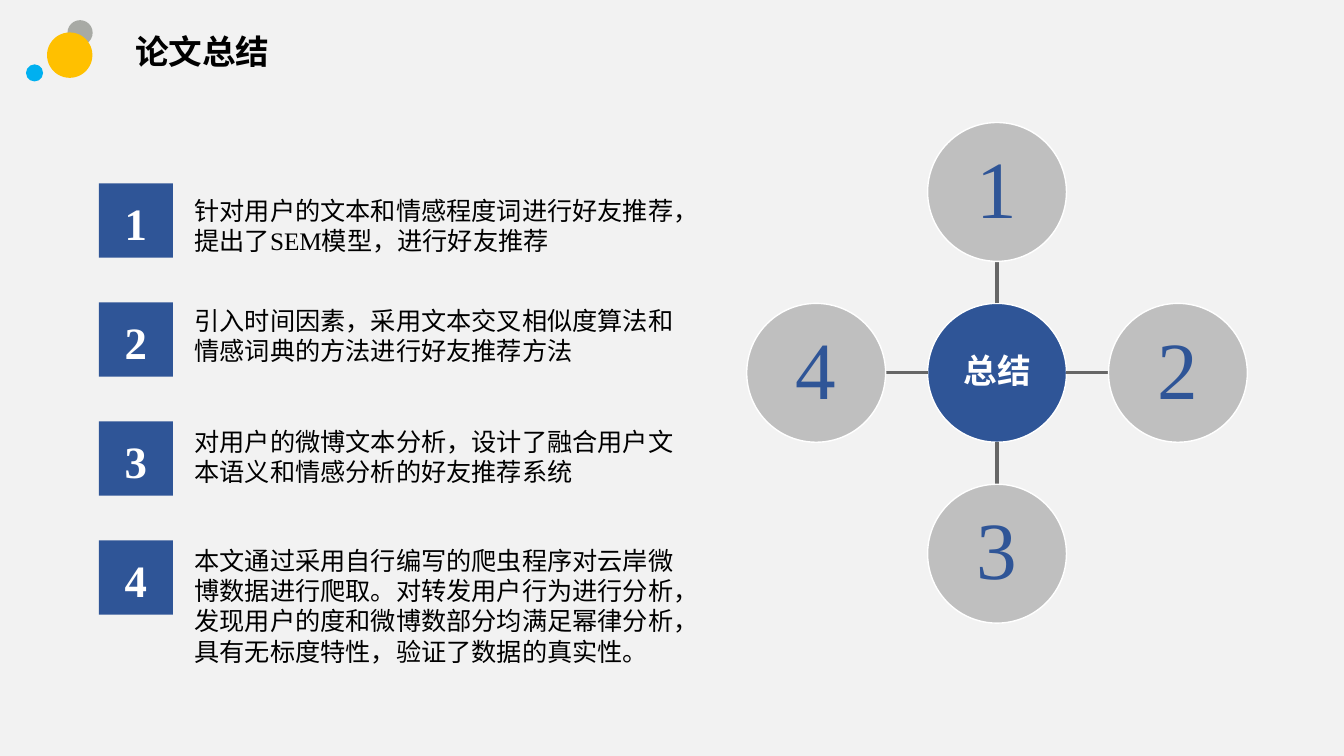
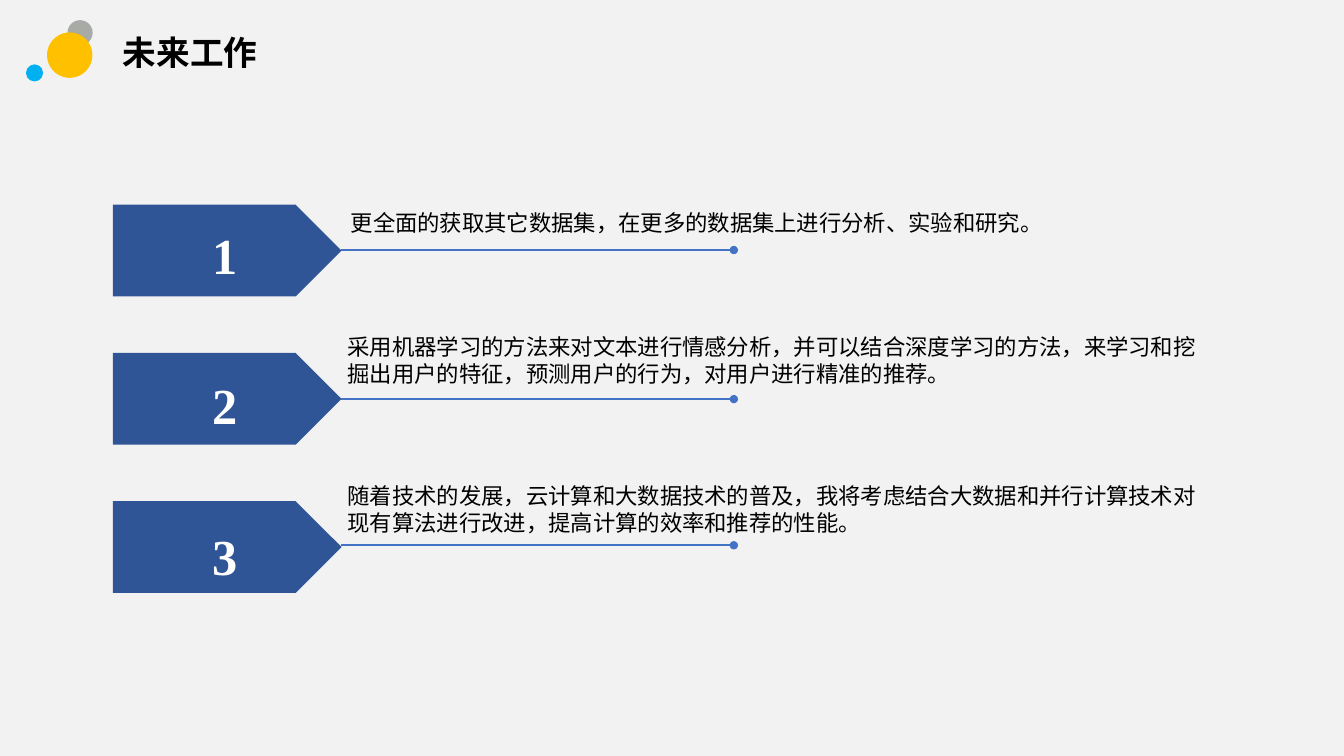
from dataclasses import dataclass
from math import cos, radians, sin

from lxml import etree
from pptx import Presentation
from pptx.dml.color import RGBColor
from pptx.enum.shapes import MSO_CONNECTOR, MSO_SHAPE
from pptx.enum.text import MSO_ANCHOR, MSO_AUTO_SIZE, PP_ALIGN
from pptx.oxml.ns import qn
from pptx.util import Pt

OVAL, RECT, PLATE = MSO_SHAPE.OVAL, MSO_SHAPE.RECTANGLE, MSO_SHAPE.PENTAGON
STRAIGHT = MSO_CONNECTOR.STRAIGHT
MIDDLE = MSO_ANCHOR.MIDDLE
LEFT, CENTER = PP_ALIGN.LEFT, PP_ALIGN.CENTER
FIXED, GROW = MSO_AUTO_SIZE.NONE, MSO_AUTO_SIZE.SHAPE_TO_FIT_TEXT

LATIN, HAN = "Times New Roman", "Noto Sans CJK SC"
PAPER, INK, WHITE = "F2F2F2", "000000", "FFFFFF"
NAVY, BLUE = "2F5597", "4472C4"
SILVER, GRAY = "BFBFBF", "666666"


@dataclass(frozen=True)
class Box:
    left: float
    top: float
    width: float
    height: float

    def sides(self) -> tuple:
        return Pt(self.left), Pt(self.top), Pt(self.width), Pt(self.height)


@dataclass(frozen=True)
class Dot:
    box: Box
    color: str


@dataclass(frozen=True)
class Point:
    top: float
    height: float
    text: str


@dataclass(frozen=True)
class Task:
    box: Box
    line: float
    drop: float
    text: str


DOTS = [
    Dot(Box(48.2, 14.4, 18, 18), "A8AAA5"),
    Dot(Box(33.6, 23.2, 32.4, 32.4), "FFC000"),
    Dot(Box(18.6, 46, 12.2, 12.2), "00B0F0"),
]

POINTS = [
    Point(136.1, 51.1, "针对用户的文本和情感程度词进行好友推荐，提出了SEM模型，进行好友推荐"),
    Point(214.6, 51.1, "引入时间因素，采用文本交叉相似度算法和情感词典的方法进行好友推荐方法"),
    Point(301, 51.1, "对用户的微博文本分析，设计了融合用户文本语义和情感分析的好友推荐系统"),
    Point(385.9, 94.3, "本文通过采用自行编写的爬虫程序对云岸微博数据进行爬取。"
          "对转发用户行为进行分析，发现用户的度和微博数部分均满足幂律分析，"
          "具有无标度特性，验证了数据的真实性。"),
]

TASKS = [
    Task(Box(243.4, 146.2, 632.2, 26.6), 178.6, 3,
         "更全面的获取其它数据集，在更多的数据集上进行分析、实验和研究。"),
    Task(Box(241.2, 234.7, 632.2, 46.1), 285.1, 4,
         "采用机器学习的方法来对文本进行情感分析，并可以结合深度学习的方法，"
         "来学习和挖掘出用户的特征，预测用户的行为，对用户进行精准的推荐。"),
    Task(Box(241.2, 340.6, 632.2, 46.1), 389.5, 5.8,
         "随着技术的发展，云计算和大数据技术的普及，我将考虑结合大数据和并行计算技术"
         "对现有算法进行改进，提高计算的效率和推荐的性能。"),
]


def paint(format, color: str) -> None:
    format.solid()
    format.fore_color.rgb = RGBColor.from_string(color)


def write(frame, text: str, size: float, color: str, bold: bool = False,
          align=LEFT, pitch: float = 1.0) -> None:
    frame.word_wrap = True
    para = frame.paragraphs[0]
    para.alignment = align
    para.line_spacing = pitch
    run = para.add_run()
    run.text = text
    font = run.font
    font.name, font.size, font.bold = LATIN, Pt(size), bold
    font.color.rgb = RGBColor.from_string(color)
    props = run._r.get_or_add_rPr()
    etree.SubElement(props, qn("a:ea")).set("typeface", HAN)


def form(slide, kind, box: Box, color: str, edge: str = ""):
    shape = slide.shapes.add_shape(kind, *box.sides())
    shape.shadow.inherit = False
    paint(shape.fill, color)
    if edge:
        paint(shape.line.fill, edge)
        shape.line.width = Pt(1)
    else:
        shape.line.fill.background()
    return shape


def label(shape, text: str, size: float, color: str, bold: bool,
          pitch: float = 1.0, left: float = 0, top: float = 0) -> None:
    frame = shape.text_frame
    frame.margin_left, frame.margin_top = Pt(left), Pt(top)
    frame.margin_right = frame.margin_bottom = 0
    frame.vertical_anchor = MIDDLE
    write(frame, text, size, color, bold, CENTER, pitch)


def prose(slide, box: Box, text: str, size: float) -> None:
    frame = slide.shapes.add_textbox(*box.sides()).text_frame
    frame.auto_size = GROW
    write(frame, text, size, INK)


def link(slide, start: tuple, end: tuple, color: str, width: float,
         knob: bool = False) -> None:
    line = slide.shapes.add_connector(STRAIGHT, *(Pt(n) for n in start + end))
    paint(line.line.fill, color)
    line.line.width = Pt(width)
    if knob:
        etree.SubElement(line.line._get_or_add_ln(), qn("a:tailEnd")).set("type", "oval")
    etree.SubElement(line.element.spPr, qn("a:effectLst"))


def brand(slide, layout) -> None:
    for num, dot in enumerate(DOTS, 101):
        mark = form(slide, OVAL, dot.box, dot.color).element
        mark.nvSpPr.cNvPr.set("id", str(num))
        layout.shapes.element.append(mark)


def head(slide, box: Box, text: str) -> None:
    title = slide.shapes.title
    title.left, title.top, title.width, title.height = box.sides()
    frame = title.text_frame
    frame.auto_size = FIXED
    frame.vertical_anchor = MIDDLE
    write(frame, text, 24, INK, True, LEFT, 0.9)


def disc(slide, x: float, y: float, text: str, size: float,
         fill: str, color: str, bold: bool) -> None:
    span = 99.2
    box = Box(x - span / 2, y - span / 2, span, span)
    label(form(slide, OVAL, box, fill, WHITE), text, size, color, bold, 0.9)


def wheel(slide) -> None:
    x, y, reach, rim = 712.2, 266.3, 129.2, 49.6
    disc(slide, x, y, "总结", 24, NAVY, WHITE, True)
    for num in range(4):
        angle = radians(90 * num - 90)
        dx, dy = cos(angle), sin(angle)
        gap = reach - rim
        link(slide, (x + rim * dx, y + rim * dy), (x + gap * dx, y + gap * dy), GRAY, 2.25)
        disc(slide, x + reach * dx, y + reach * dy, str(num + 1), 58, SILVER, NAVY, False)


def review(slide) -> None:
    head(slide, Box(89.3, 20.9, 267.8, 34.6), "论文总结")
    for num, point in enumerate(POINTS):
        tile = form(slide, RECT, Box(70.6, 131 + 85 * num, 53, 53), NAVY)
        label(tile, str(num + 1), 32, WHITE, True, top=3)
        prose(slide, Box(131.8, point.top, 362.2, point.height), point.text, 18)
    wheel(slide)


def future(slide) -> None:
    head(slide, Box(80.6, 20.2, 283, 38.2), "未来工作")
    for num, task in enumerate(TASKS):
        plate = form(slide, PLATE, Box(80.6, 146.2 + 105.9 * num, 163.4, 65.5), NAVY)
        label(plate, str(num + 1), 36, WHITE, True, left=13, top=2 * task.drop)
        link(slide, (243.4, task.line), (524.2, task.line), BLUE, 1.5, True)
        prose(slide, task.box, task.text, 16)


def main() -> None:
    deck = Presentation()
    deck.slide_width, deck.slide_height = Pt(960), Pt(540)
    paint(deck.slide_master.background.fill, PAPER)
    layout = deck.slide_layouts[5]
    first, second = (deck.slides.add_slide(layout) for _ in range(2))
    brand(first, layout)
    review(first)
    future(second)
    deck.save("out.pptx")


if __name__ == "__main__":
    main()
